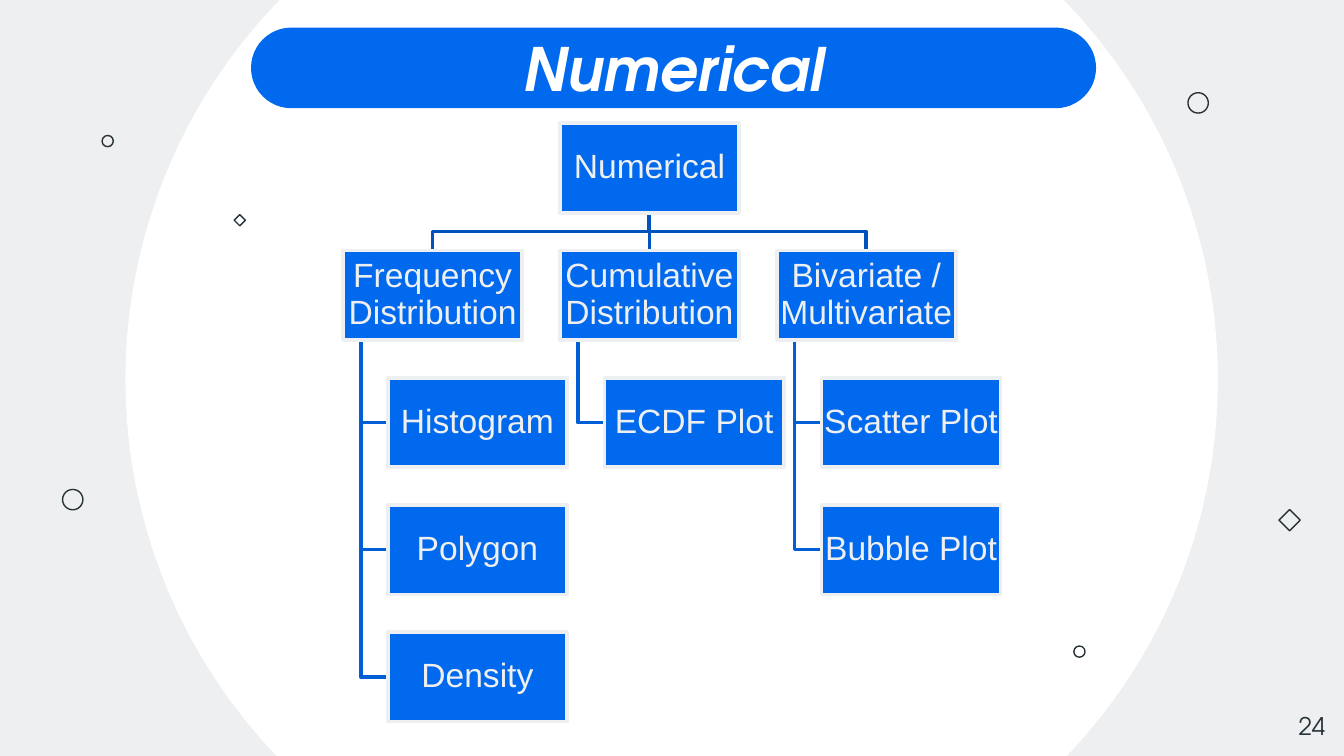
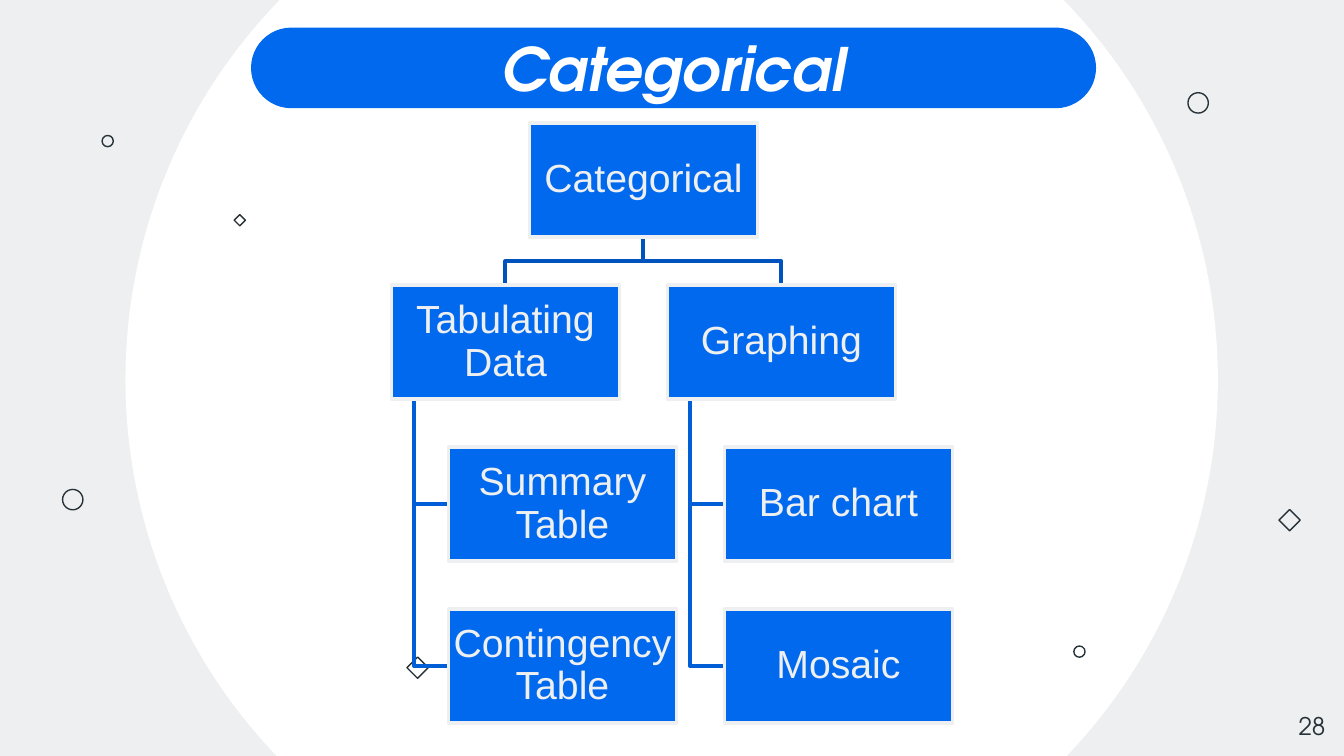
"""Build two slides that classify charts by type of data."""
from dataclasses import dataclass

from lxml import etree
from pptx import Presentation
from pptx import util as u
from pptx.dml.color import RGBColor
from pptx.enum import shapes, text
from pptx.oxml.ns import qn
from pptx.shapes.autoshape import Shape
from pptx.shapes.connector import Connector
from pptx.slide import Slide
from pptx.text.text import TextFrame

Pt = u.Pt
Kind = shapes.MSO_SHAPE
Align = text.PP_ALIGN
Anchor = text.MSO_ANCHOR


@dataclass(frozen=True)
class Theme:
    """Colours, fonts and type sizes that the slides share."""
    backdrop: str = "EEEFF0"
    disc: str = "FFFFFF"
    ink: str = "263238"
    banner: str = "0169EE"
    node: str = "0069EE"
    fork: str = "0053BC"
    trunk: str = "005ED7"
    display_font: str = "TeX Gyre Adventor"
    node_font: str = "Arial"
    title_size: float = 32
    number_size: float = 13
    mark_line: float = 0.75
    tree_line: float = 2


@dataclass(frozen=True)
class Box:
    """A rectangle on the slide, in points."""
    left: float
    top: float
    width: float
    height: float

    @property
    def center(self) -> float:
        """Return the horizontal centre."""
        return self.left + self.width / 2

    @property
    def middle(self) -> float:
        """Return the vertical centre."""
        return self.top + self.height / 2

    @property
    def bottom(self) -> float:
        """Return the lower edge."""
        return self.top + self.height

    def lengths(self) -> tuple[int, ...]:
        """Return the four measures as slide lengths."""
        return tuple(Pt(v) for v in (self.left, self.top, self.width, self.height))


@dataclass(frozen=True)
class Mark:
    """A small outlined ornament."""
    kind: Kind
    left: float
    top: float
    size: float


@dataclass(frozen=True)
class TextStyle:
    """The look of one line of text."""
    font: str
    size: float
    color: str
    align: Align = Align.CENTER
    strong: bool = False
    spacing: float = 1.0


@dataclass(frozen=True)
class Branch:
    """A second-level node and its leaves."""
    name: str
    leaves: tuple[str, ...]


@dataclass(frozen=True)
class Tree:
    """One hierarchy slide."""
    title: str
    number: str
    center: float
    node_width: float
    text_size: float
    branches: tuple[Branch, ...]
    extra_marks: tuple[Mark, ...] = ()


THEME = Theme()
DISC = Box(67.2, -88.6, 585.2, 583.9)
BANNER = Box(134.5, 14.8, 452.7, 43.2)
NUMBER = Box(673.9, 373.7, 43.2, 31)
TREE_TOP = 66
COLUMN_STEP = 1.21
ROW_STEP = 1.42
TRUNK_INDENT = 0.1
LEAF_INDENT = 0.25

MARKS = (
    Mark(Kind.OVAL, 575.3, 346.1, 6),
    Mark(Kind.DIAMOND, 685.2, 273, 11.4),
    Mark(Kind.DIAMOND, 125.5, 115, 6),
    Mark(Kind.OVAL, 54.7, 72.6, 6),
    Mark(Kind.OVAL, 33.5, 262.2, 10.9),
    Mark(Kind.OVAL, 636.4, 49.7, 10.9),
)

TREES = (
    Tree("Numerical", "24", 347.9, 96, 18, (
        Branch("Frequency Distribution", ("Histogram", "Polygon", "Density")),
        Branch("Cumulative Distribution", ("ECDF Plot",)),
        Branch("Bivariate / Multivariate", ("Scatter Plot", "Bubble Plot")),
    )),
    Tree("Categorical", "28", 344.7, 122.2, 21, (
        Branch("Tabulating Data", ("Summary Table", "Contingency Table")),
        Branch("Graphing", ("Bar chart", "Mosaic")),
    ), (Mark(Kind.DIAMOND, 218, 352, 11.4),)),
)


def rgb(color: str) -> RGBColor:
    """Turn a hex string into a colour."""
    return RGBColor.from_string(color)


def paint(shape: Shape, fill: str | None, line: str | None = None,
          weight: float = THEME.tree_line) -> None:
    """Set fill and outline, and drop the shadow."""
    shape.shadow.inherit = False
    if fill:
        shape.fill.solid()
        shape.fill.fore_color.rgb = rgb(fill)
    else:
        shape.fill.background()
    if line:
        shape.line.color.rgb = rgb(line)
        shape.line.width = Pt(weight)
    else:
        shape.line.fill.background()


def add_box(slide: Slide, kind: Kind, box: Box, fill: str | None,
            line: str | None = None, weight: float = THEME.tree_line) -> Shape:
    """Add a painted preset shape."""
    shape = slide.shapes.add_shape(kind, *box.lengths())
    paint(shape, fill, line, weight)
    return shape


def write(frame: TextFrame, wording: str, style: TextStyle, inset: float,
          anchor: Anchor = Anchor.MIDDLE) -> None:
    """Write one styled run into a text frame."""
    frame.word_wrap = True
    frame.vertical_anchor = anchor
    frame.margin_left = frame.margin_right = Pt(inset)
    frame.margin_top = frame.margin_bottom = Pt(inset)
    paragraph = frame.paragraphs[0]
    paragraph.alignment = style.align
    paragraph.line_spacing = style.spacing
    run = paragraph.add_run()
    run.text = wording
    run.font.name = style.font
    run.font.size = Pt(style.size)
    run.font.color.rgb = rgb(style.color)
    run.font.bold = run.font.italic = style.strong


def add_frame(slide: Slide, tree: Tree) -> None:
    """Draw the backdrop, ornaments, page number and title banner."""
    slide.background.fill.solid()
    slide.background.fill.fore_color.rgb = rgb(THEME.backdrop)
    add_box(slide, Kind.OVAL, DISC, THEME.disc)
    for mark in MARKS + tree.extra_marks:
        place = Box(mark.left, mark.top, mark.size, mark.size)
        add_box(slide, mark.kind, place, None, THEME.ink, THEME.mark_line)
    number = slide.shapes.add_textbox(*NUMBER.lengths())
    write(number.text_frame, tree.number,
          TextStyle(THEME.display_font, THEME.number_size, THEME.ink, Align.RIGHT),
          7.2, Anchor.TOP)
    banner = add_box(slide, Kind.ROUNDED_RECTANGLE, BANNER, THEME.banner)
    banner.adjustments[0] = 0.5
    write(banner.text_frame, tree.title,
          TextStyle(THEME.display_font, THEME.title_size, THEME.disc, strong=True), 7.2)


def add_path(slide: Slide, color: str, *points: tuple[float, float]) -> None:
    """Draw an open bent line through the points."""
    start, *rest = [(Pt(x), Pt(y)) for x, y in points]
    builder = slide.shapes.build_freeform(*start, scale=1.0)
    builder.add_line_segments(rest, close=False)
    paint(builder.convert_to_shape(), None, color)


def add_straight(slide: Slide, upper: Box, lower: Box) -> Connector:
    """Draw a straight link from one node down to another."""
    link = slide.shapes.add_connector(
        shapes.MSO_CONNECTOR.STRAIGHT, Pt(upper.center), Pt(upper.bottom),
        Pt(lower.center), Pt(lower.top))
    link.line.color.rgb = rgb(THEME.fork)
    link.line.width = Pt(THEME.tree_line)
    etree.SubElement(link._element.spPr, qn("a:effectLst"))
    return link


def add_node(slide: Slide, box: Box, name: str, size: float) -> Shape:
    """Draw one labelled node."""
    node = add_box(slide, Kind.RECTANGLE, box, THEME.node, THEME.backdrop)
    style = TextStyle(THEME.node_font, size, THEME.backdrop, spacing=0.9)
    write(node.text_frame, name, style, 0.9)
    return node


def add_tree(slide: Slide, tree: Tree) -> None:
    """Draw the links of a hierarchy, then its nodes."""
    width, height = tree.node_width, tree.node_width / 2

    def place(center: float, row: int) -> Box:
        """Locate a node by its centre and row."""
        return Box(center - width / 2, TREE_TOP + row * ROW_STEP * height, width, height)

    root = place(tree.center, 0)
    nodes = [(root, tree.title)]
    straight_links = []
    for column, branch in enumerate(tree.branches):
        shift = column - (len(tree.branches) - 1) / 2
        head = place(tree.center + shift * COLUMN_STEP * width, 1)
        if shift:
            fork_y = (root.bottom + head.top) / 2
            add_path(slide, THEME.fork, (root.center, root.bottom), (root.center, fork_y),
                     (head.center, fork_y), (head.center, head.top))
        else:
            straight_links.append((add_straight(slide, root, head), len(nodes)))
        nodes.append((head, branch.name))
        trunk_x = head.left + TRUNK_INDENT * width
        for row, name in enumerate(branch.leaves, start=2):
            leaf = place(head.center + LEAF_INDENT * width, row)
            add_path(slide, THEME.trunk, (trunk_x, head.bottom),
                     (trunk_x, leaf.middle), (leaf.left, leaf.middle))
            nodes.append((leaf, name))
    drawn = [add_node(slide, box, name, tree.text_size) for box, name in nodes]
    for link, index in straight_links:
        link.begin_connect(drawn[0], 2)
        link.end_connect(drawn[index], 0)


def main() -> None:
    """Build and save the deck."""
    deck = Presentation()
    deck.slide_width, deck.slide_height = Pt(720), Pt(405)
    for tree in TREES:
        slide = deck.slides.add_slide(deck.slide_layouts[6])
        add_frame(slide, tree)
        add_tree(slide, tree)
    deck.save("out.pptx")


if __name__ == "__main__":
    main()
